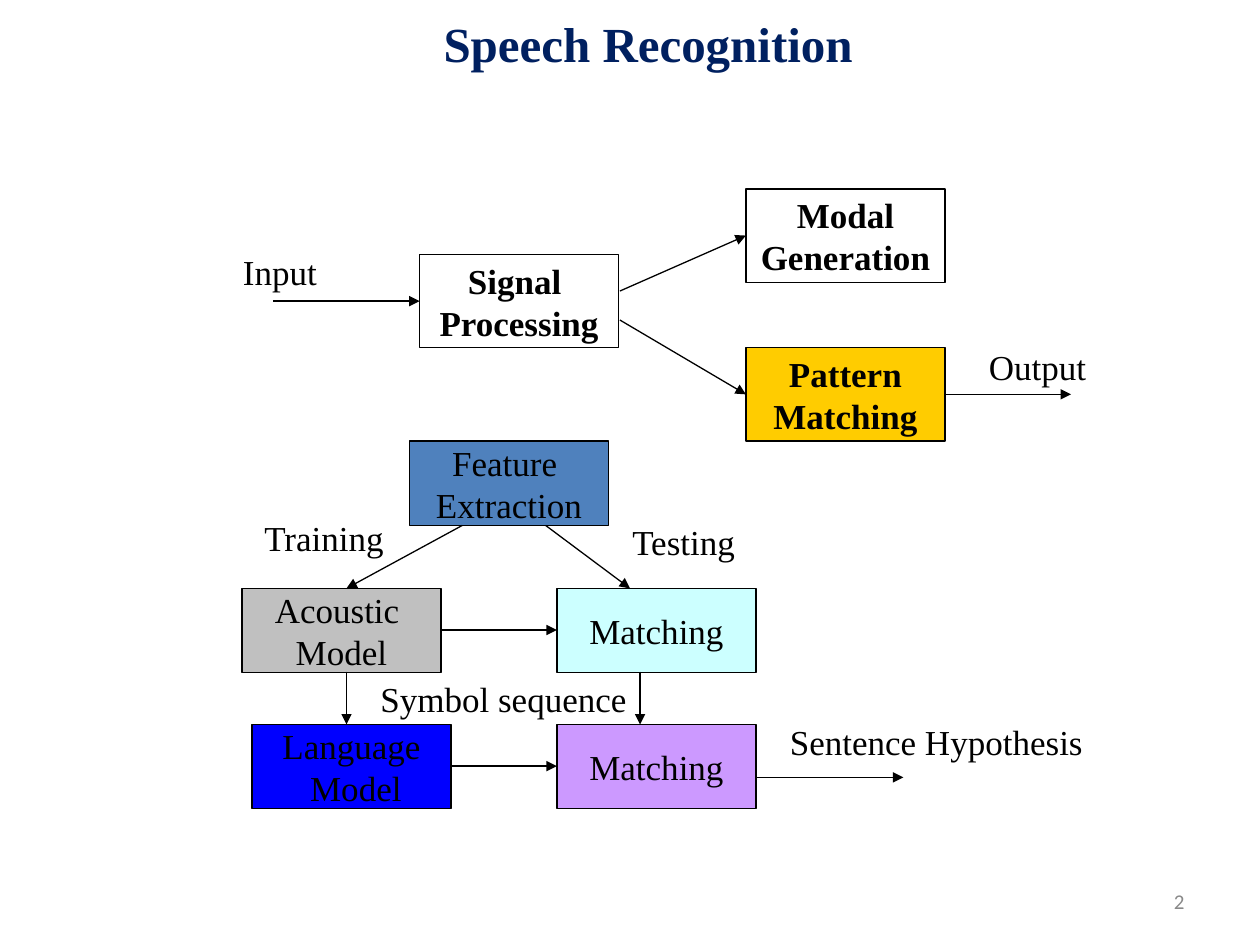
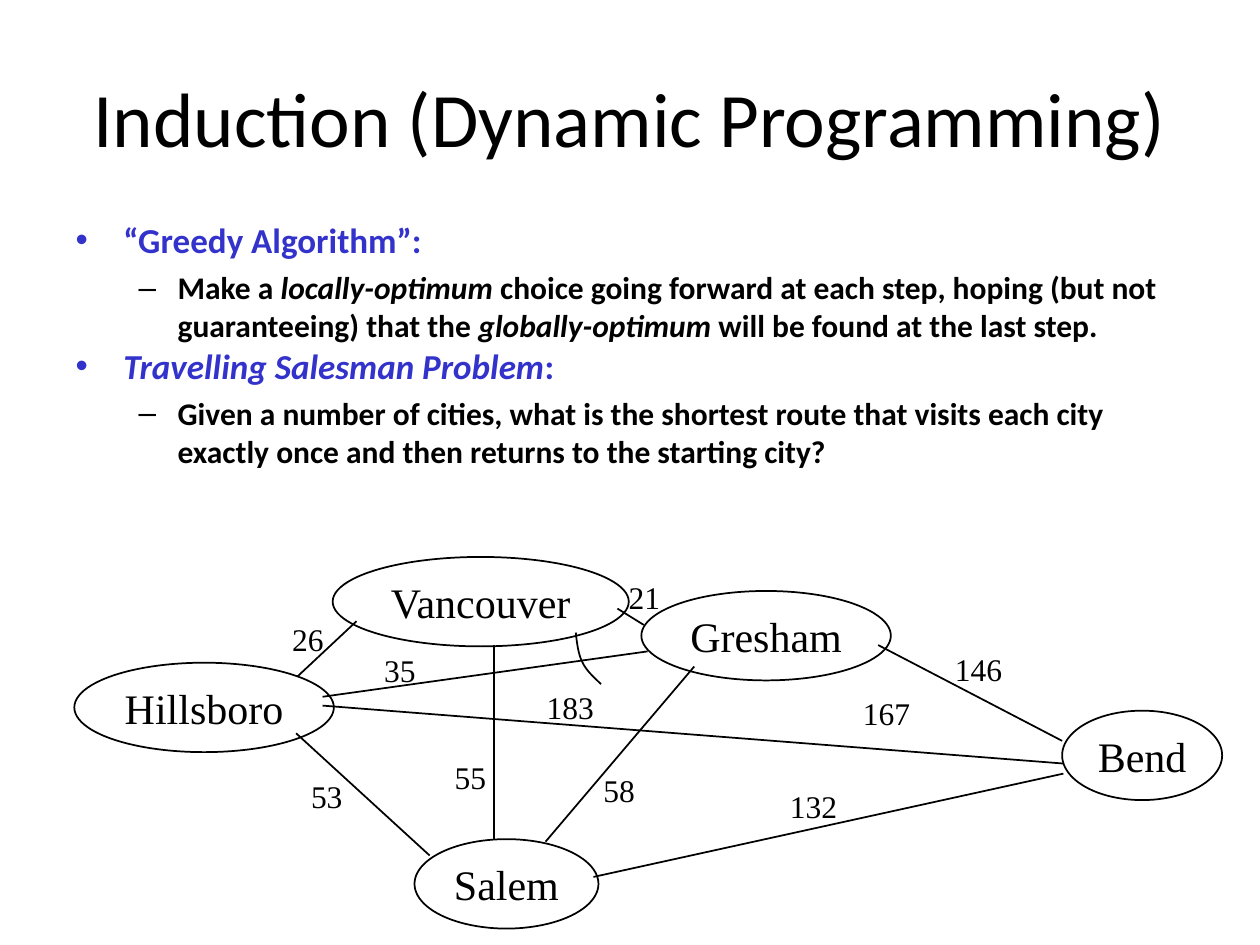
from lxml.etree import SubElement
from pptx import Presentation
from pptx.dml.color import RGBColor
from pptx.enum.shapes import MSO_CONNECTOR, MSO_SHAPE
from pptx.enum.text import MSO_ANCHOR, PP_ALIGN
from pptx.oxml.ns import qn
from pptx.util import Inches, Pt

# Shared look
BLACK = "000000"
NAVY = "002060"
BLUE = "3333CC"
GREY = "898989"
SERIF = "Times New Roman"
SANS = "Calibri"


def write(shape, text, size, color=BLACK, font=SERIF, bold=False, align=PP_ALIGN.LEFT):
    """Put text in a shape, one paragraph per line, and format its runs."""
    shape.text_frame.text = text
    for para in shape.text_frame.paragraphs:
        para.alignment = align
        for span in para.runs:
            span.font.name = font
            span.font.size = Pt(size)
            span.font.bold = bold
            span.font.color.rgb = RGBColor.from_string(color)


def add_line(slide, start, end, width, arrow=False):
    """Draw a black line between two points, with an arrowhead if wanted."""
    points = [Inches(value) for value in (*start, *end)]
    line = slide.shapes.add_connector(MSO_CONNECTOR.STRAIGHT, *points)
    line.line.width = Pt(width)
    line.line.color.rgb = RGBColor.from_string(BLACK)
    properties = line._element.spPr
    if arrow:
        SubElement(properties.find(qn("a:ln")), qn("a:tailEnd"), type="triangle")
    SubElement(properties, qn("a:effectLst"))


deck = Presentation()
deck.slide_width = Inches(10)
deck.slide_height = Inches(7.5)

# Slide 1: speech recognition pipeline
speech = deck.slides.add_slide(deck.slide_layouts[5])
title = speech.shapes.title
title.left, title.top = Inches(3.42), Inches(0.06)
title.width, title.height = Inches(3.83), Inches(0.57)
title.text_frame.vertical_anchor = MSO_ANCHOR.TOP
write(title, "Speech Recognition", 28, NAVY, bold=True)

# Page number
number = speech.shapes.add_textbox(Inches(7.17), Inches(6.95), Inches(2.33), Inches(0.4))
number.text_frame.word_wrap = True
number.text_frame.vertical_anchor = MSO_ANCHOR.MIDDLE
write(number, "2", 12, GREY, SANS, align=PP_ALIGN.RIGHT)

# Processing boxes: the upper stages are taller and bold
stages = [
    ("Signal \nProcessing", 3.33, 2.02, "FFFFFF", True),
    ("Modal\nGeneration", 5.92, 1.5, "FFFFFF", True),
    ("Pattern\nMatching", 5.92, 2.76, "FFCC00", True),
    ("Feature \nExtraction", 3.25, 3.5, "4F81BD", False),
    ("Acoustic \nModel", 1.92, 4.67, "C0C0C0", False),
    ("Matching", 4.42, 4.67, "CCFFFF", False),
    ("Language\n Model", 2, 5.75, "0000FF", False),
    ("Matching", 4.42, 5.75, "CC99FF", False),
]
for text, left, top, fill, bold in stages:
    height = 0.74 if bold else 0.67
    box = speech.shapes.add_shape(
        MSO_SHAPE.RECTANGLE, Inches(left), Inches(top), Inches(1.58), Inches(height))
    box.shadow.inherit = False
    box.fill.solid()
    box.fill.fore_color.rgb = RGBColor.from_string(fill)
    box.line.color.rgb = RGBColor.from_string(BLACK)
    box.line.width = Pt(0.75)
    box.text_frame.word_wrap = False
    box.text_frame.vertical_anchor = MSO_ANCHOR.MIDDLE
    write(box, text, 20, bold=bold, align=PP_ALIGN.CENTER)

# Arrows between the stages
flows = [
    ((2.17, 2.39), (3.33, 2.39)),
    ((4.92, 2.31), (5.92, 1.87)),
    ((4.92, 2.54), (5.92, 3.13)),
    ((7.5, 3.13), (8.5, 3.13)),
    ((3.67, 4.17), (2.75, 4.67)),
    ((4.33, 4.17), (5, 4.67)),
    ((2.75, 5.33), (2.75, 5.75)),
    ((5.08, 5.33), (5.08, 5.75)),
    ((3.5, 5), (4.42, 5)),
    ((3.58, 6.08), (4.42, 6.08)),
    ((6, 6.17), (7.17, 6.17)),
]
for start, end in flows:
    add_line(speech, start, end, 0.75, arrow=True)

# Labels beside the arrows
flow_labels = [
    ("Input", 1.83, 1.94, 1.08),
    ("Output", 7.75, 2.69, 1.08),
    ("Training", 2, 4.05, 1.17),
    ("Testing", 4.92, 4.08, 1.17),
    ("Symbol sequence", 2.92, 5.33, 2.25),
    ("Sentence Hypothesis", 6.17, 5.67, 2.75),
]
for text, left, top, width in flow_labels:
    label = speech.shapes.add_textbox(Inches(left), Inches(top), Inches(width), Inches(0.44))
    label.text_frame.word_wrap = True
    write(label, text, 20)

# Slide 2: greedy algorithm and the travelling salesman
induction = deck.slides.add_slide(deck.slide_layouts[1])
title = induction.shapes.title
title.left, title.top = Inches(0.5), Inches(0.3)
title.width, title.height = Inches(9), Inches(1.25)
write(title, "Induction (Dynamic Programming)", 44, font=SANS, align=PP_ALIGN.CENTER)

# Bullets: each paragraph is a level and its spans, marked italic or not
bullets = [
    (0, [("“Greedy Algorithm”:", False)]),
    (1, [("Make a ", False), ("locally-optimum", True),
         (" choice going forward at each step, hoping (but not guaranteeing) that the ", False),
         ("globally-optimum", True), (" will be found at the last step.", False)]),
    (0, [("Travelling Salesman Problem", True), (":", False)]),
    (1, [("Given a number of cities, what is the shortest route that visits each city "
          "exactly once and then returns to the starting city?", False)]),
]
# Per level: bullet, left margin, hanging indent, size, colour, space before, line spacing
levels = [("•", 0.38, -0.38, 20, BLUE, 5, 0.8), ("–", 0.81, -0.31, 18, BLACK, 4.5, 1.0)]
body = induction.placeholders[1]
body.left, body.top = Inches(0.5), Inches(1.75)
body.width, body.height = Inches(9), Inches(2.67)
for index, (level, spans) in enumerate(bullets):
    mark, margin, indent, size, color, space, spacing = levels[level]
    para = body.text_frame.add_paragraph() if index else body.text_frame.paragraphs[0]
    para.level = level
    properties = para._p.get_or_add_pPr()
    properties.set("marL", str(Inches(margin)))
    properties.set("indent", str(Inches(indent)))
    SubElement(SubElement(properties, qn("a:buClr")), qn("a:srgbClr"), val=color)
    SubElement(properties, qn("a:buChar"), char=mark)
    para.line_spacing = spacing
    para.space_before = Pt(space if index else 0)
    for text, italic in spans:
        span = para.add_run()
        span.text = text
        span.font.name = SANS
        span.font.size = Pt(size)
        span.font.bold = True
        span.font.italic = italic
        span.font.color.rgb = RGBColor.from_string(color)

# Cities
cities = [
    ("Vancouver", 2.64, 4.42, 2.35),
    ("Salem", 3.29, 6.66, 1.46),
    ("Bend", 8.43, 5.64, 1.27),
    ("Gresham", 5.09, 4.69, 1.98),
    ("Hillsboro", 0.59, 5.26, 2.06),
]
for name, left, top, width in cities:
    city = induction.shapes.add_shape(
        MSO_SHAPE.OVAL, Inches(left), Inches(top), Inches(width), Inches(0.71))
    city.shadow.inherit = False
    city.fill.background()
    city.line.color.rgb = RGBColor.from_string(BLACK)
    city.line.width = Pt(1)
    city.text_frame.word_wrap = False
    city.text_frame.vertical_anchor = MSO_ANCHOR.MIDDLE
    write(city, name, 24, align=PP_ALIGN.CENTER)

# Roads
roads = [
    ((2.83, 4.93), (2.36, 5.37)),
    ((3.92, 5.12), (3.92, 6.66)),
    ((4.9, 4.83), (5.11, 4.96)),
    ((6.97, 5.12), (8.43, 5.88)),
    ((2.35, 5.82), (3.41, 6.79)),
    ((4.71, 6.96), (8.44, 6.14)),
    ((5.51, 5.29), (4.33, 6.68)),
    ((8.44, 6.06), (2.56, 5.6)),
    ((2.56, 5.53), (5.14, 5.17)),
]
for start, end in roads:
    add_line(induction, start, end, 1)

# Curved road stub below Vancouver, traced along two cubic curves
curves = [
    ((4.57, 5.02), (4.58, 5.11), (4.59, 5.19), (4.62, 5.25)),
    ((4.62, 5.25), (4.65, 5.32), (4.71, 5.37), (4.77, 5.43)),
]
steps = 8
stub_points = []
for curve in curves:
    for step in range(1, steps + 1):
        t = step / steps
        weights = ((1 - t) ** 3, 3 * t * (1 - t) ** 2, 3 * t ** 2 * (1 - t), t ** 3)
        stub_points.append(tuple(
            Inches(sum(weight * point[axis] for weight, point in zip(weights, curve)))
            for axis in (0, 1)))
builder = induction.shapes.build_freeform(Inches(4.57), Inches(5.02))
builder.add_line_segments(stub_points, close=False)
stub = builder.convert_to_shape()
stub.shadow.inherit = False
stub.fill.background()
stub.line.color.rgb = RGBColor.from_string(BLACK)
stub.line.width = Pt(1)

# Distances, in boxes with room for every digit on one line
distances = [
    ("21", 4.89, 4.54), ("26", 2.22, 4.87), ("55", 3.51, 5.97),
    ("132", 6.17, 6.2), ("146", 7.48, 5.11), ("183", 4.24, 5.41),
    ("167", 6.75, 5.46), ("53", 2.37, 6.12), ("58", 4.69, 6.07),
    ("35", 2.95, 5.12),
]
for text, left, top in distances:
    width = 0.22 + 0.13 * len(text)
    distance = induction.shapes.add_textbox(
        Inches(left), Inches(top), Inches(width), Inches(0.4))
    distance.text_frame.word_wrap = True
    write(distance, text, 18)

deck.save("out.pptx")
